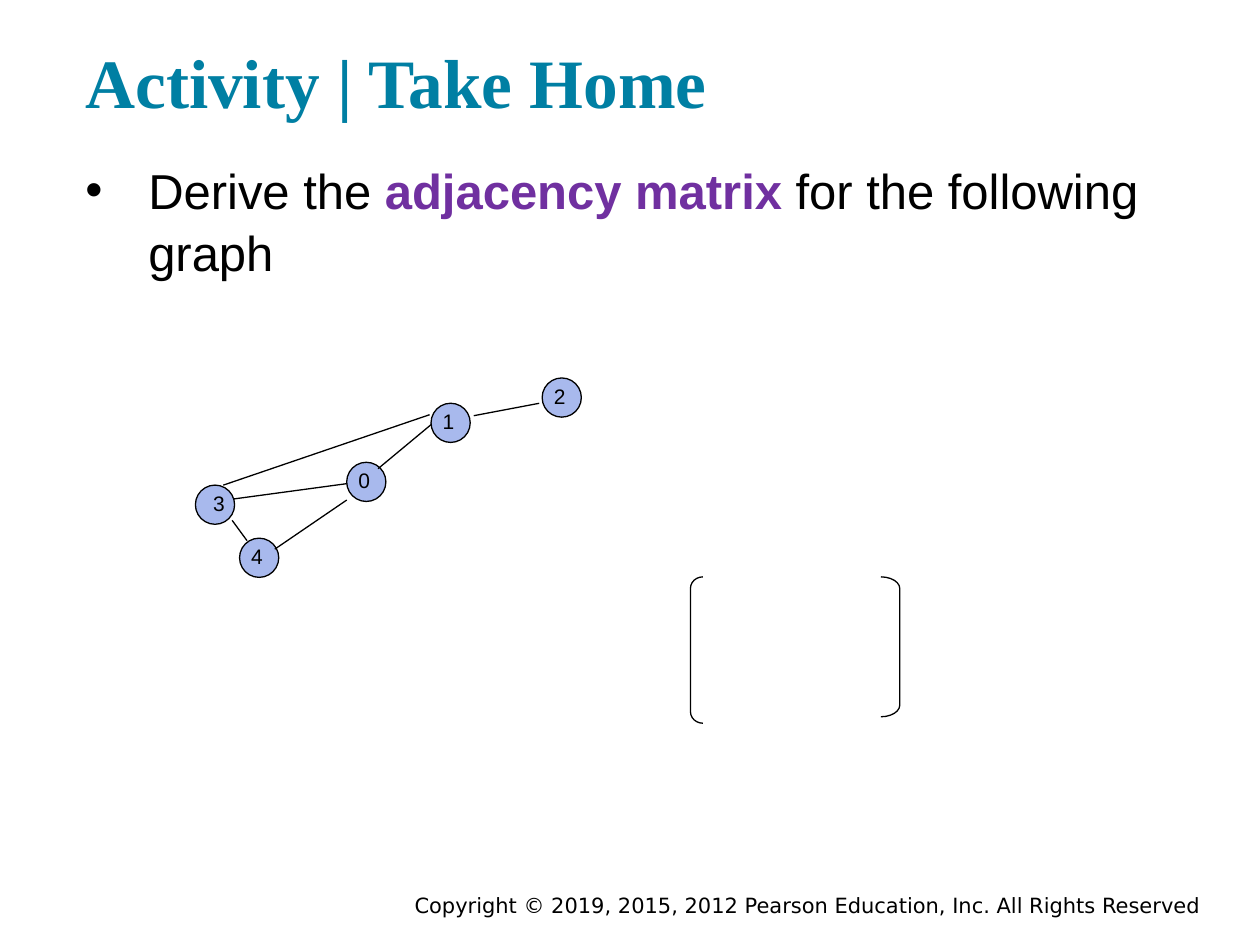
from dataclasses import dataclass
from lxml import etree
from pptx import Presentation, util as u
from pptx.dml.color import RGBColor as Rgb
from pptx.enum import shapes as sh, text as tx
from pptx.oxml.ns import qn


@dataclass(frozen=True)
class Theme:
    """Colours, fonts and type sizes of the slide."""
    ink: Rgb = Rgb(0, 0, 0)
    head: Rgb = Rgb(0x00, 0x7F, 0xA3)
    key: Rgb = Rgb(0x70, 0x30, 0xA0)
    node: Rgb = Rgb(0x00, 0x33, 0xCC)
    alpha: int = 34000
    serif: str = "Times New Roman"
    sans: str = "Arial"
    foot: str = "DejaVu Sans"
    big: float = 39.6
    mid: float = 28
    small: float = 12
    rule: float = 0.75


T = Theme()


def style(font, name, size, color, bold=False):
    """Set the face, size, colour and weight of a font."""
    font.name, font.size, font.bold = name, u.Pt(size), bold
    font.color.rgb = color


def pad(frame, left, top, right, low):
    """Set the four insets of a text frame in centimetres."""
    frame.margin_left, frame.margin_top = u.Cm(left), u.Cm(top)
    frame.margin_right, frame.margin_bottom = u.Cm(right), u.Cm(low)


def add_box(slide, box, inset):
    """Add a wrapping text box and return its frame."""
    frame = slide.shapes.add_textbox(*map(u.Cm, box)).text_frame
    frame.word_wrap = True
    pad(frame, *inset)
    return frame


def add_title(slide, box):
    """Place the slide title at the foot of its box."""
    frame = add_box(slide, box, (0.25,) * 4)
    frame.vertical_anchor = tx.MSO_ANCHOR.BOTTOM
    para = frame.paragraphs[0]
    para.text = "Activity | Take Home"
    style(para.font, T.serif, T.big, T.head, True)


def add_task(slide, box):
    """Place the bulleted task with its key term."""
    para = add_box(slide, box, (0.25, 0.13, 0.25, 0.13)).paragraphs[0]
    para.line_spacing = 1.05
    props = para._p.get_or_add_pPr()
    props.set("marL", str(u.Cm(1.27)))
    props.set("indent", str(-u.Cm(1.27)))
    etree.SubElement(props, qn("a:buFont"), typeface=T.sans)
    etree.SubElement(props, qn("a:buChar"), char="•")
    for words, color, bold in (("Derive the ", T.ink, False),
                               ("adjacency matrix ", T.key, True),
                               ("for the following graph", T.ink, False)):
        run = para.add_run()
        run.text = words
        style(run.font, T.sans, T.mid, color, bold)


def add_node(group, left, top, name, inset):
    """Add one see-through graph node with its number."""
    dot = group.shapes.add_shape(sh.MSO_SHAPE.OVAL, u.Cm(left), u.Cm(top),
                                 u.Cm(0.79), u.Cm(0.79))
    dot.shadow.inherit = False
    dot.fill.solid()
    dot.fill.fore_color.rgb = T.node
    tint = dot._element.spPr.find(qn("a:solidFill"))[0]
    etree.SubElement(tint, qn("a:alpha"), val=str(T.alpha))
    dot.line.color.rgb, dot.line.width = T.ink, u.Pt(T.rule)
    frame = dot.text_frame
    frame.word_wrap = False
    frame.vertical_anchor = tx.MSO_ANCHOR.TOP
    pad(frame, inset, 0, 0, 0)
    para = frame.paragraphs[0]
    para.text, para.alignment = name, tx.PP_ALIGN.LEFT
    style(para.font, T.sans, T.small, T.ink)


def add_edge(group, *ends):
    """Add one plain graph edge."""
    edge = group.shapes.add_connector(sh.MSO_CONNECTOR.STRAIGHT,
                                      *map(u.Cm, ends))
    edge.line.color.rgb, edge.line.width = T.ink, u.Pt(T.rule)
    etree.SubElement(edge._element.spPr, qn("a:effectLst"))


def add_graph(slide, left, top):
    """Place the grouped nodes and edges from the given corner."""
    group = slide.shapes.add_group_shape()
    for x, y, name, inset in ((4.75, 0.51, "1", 0.12), (0.89, 3.23, "4", 0.12),
                              (3.05, 1.7, "0", 0.12), (6.99, 0, "2", 0.12),
                              (0, 2.16, "3", 0.24)):
        add_node(group, left + x, top + y, name, inset)
    for x, y, end_x, end_y in ((4.72, 0.74, 0.56, 2.16), (5.61, 0.76, 6.93, 0.51),
                               (0.76, 2.44, 3.05, 2.13), (3.05, 2.46, 1.6, 3.45),
                               (4.75, 0.94, 3.68, 1.83), (1.04, 3.28, 0.74, 2.87)):
        add_edge(group, left + x, top + y, left + end_x, top + end_y)


def add_matrix(slide, left, top):
    """Place the empty matrix brackets from the given corner."""
    for kind, x, wide, high, bend in (
            (sh.MSO_SHAPE.LEFT_BRACKET, 0, 0.25, 2.95, 0.93),
            (sh.MSO_SHAPE.RIGHT_BRACKET, 3.84, 0.38, 2.82, 0.62)):
        side = slide.shapes.add_shape(kind, u.Cm(left + x), u.Cm(top),
                                      u.Cm(wide), u.Cm(high))
        side.shadow.inherit = False
        side.adjustments[0] = bend
        side.fill.background()
        side.line.color.rgb, side.line.width = T.ink, u.Pt(T.rule)


def add_footer(slide, box):
    """Place the right-aligned copyright line."""
    para = add_box(slide, box, (0.13,) * 4).paragraphs[0]
    para.text = ("Copyright © 2019, 2015, 2012 Pearson Education, Inc. "
                 "All Rights Reserved")
    para.alignment = tx.PP_ALIGN.RIGHT
    style(para.font, T.foot, T.small, T.ink)


def main():
    """Build the slide and save it."""
    deck = Presentation()
    deck.slide_width, deck.slide_height = u.Cm(25.4), u.Cm(19.05)
    slide = deck.slides.add_slide(deck.slide_layouts[6])
    add_footer(slide, (4.45, 17.86, 19.89, 0.79))
    add_title(slide, (1.47, 0.46, 22.89, 2.26))
    add_matrix(slide, 13.92, 11.63)
    add_graph(slide, 3.94, 7.62)
    add_task(slide, (1.47, 3.05, 23.27, 2.64))
    deck.save("out.pptx")


if __name__ == "__main__":
    main()
